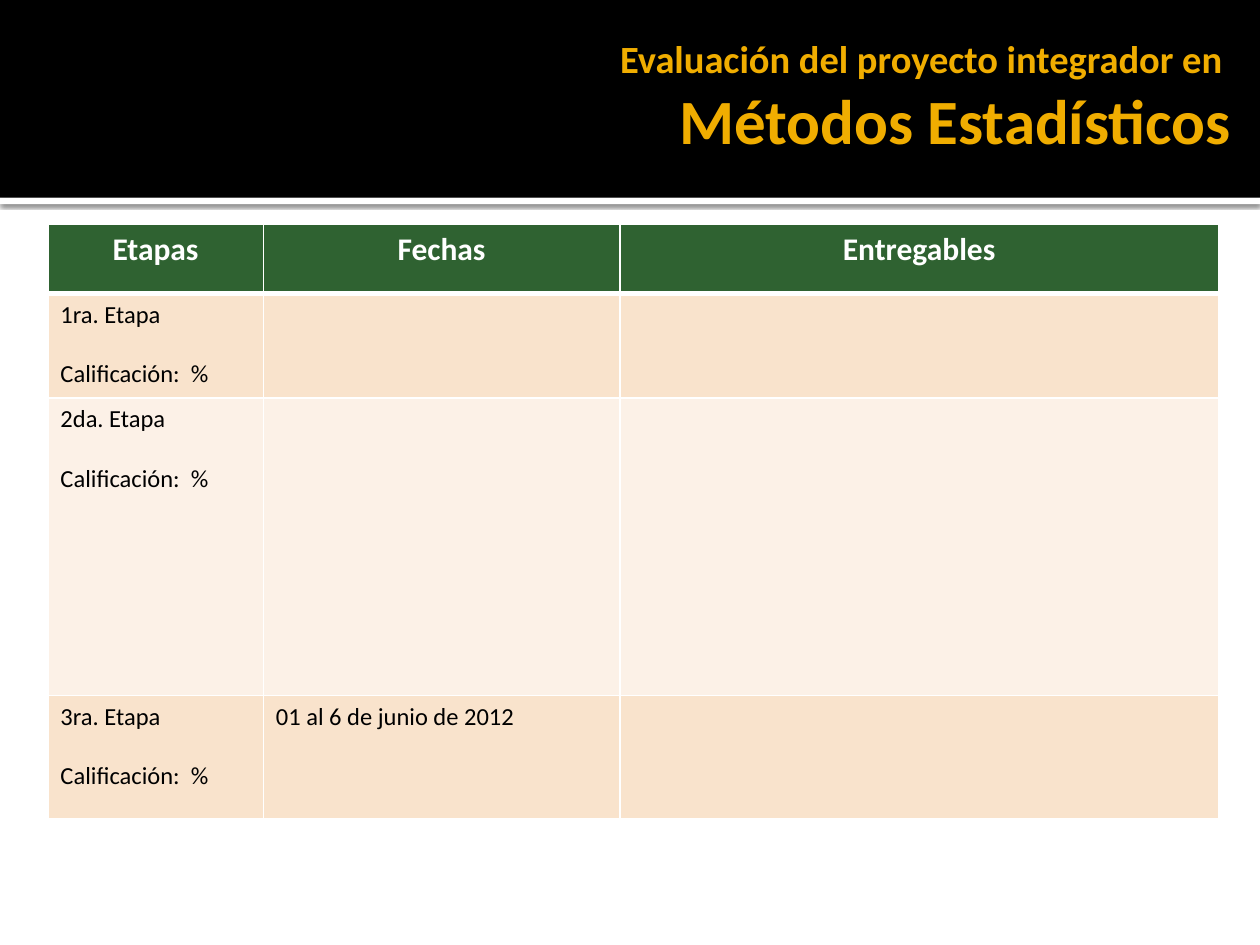
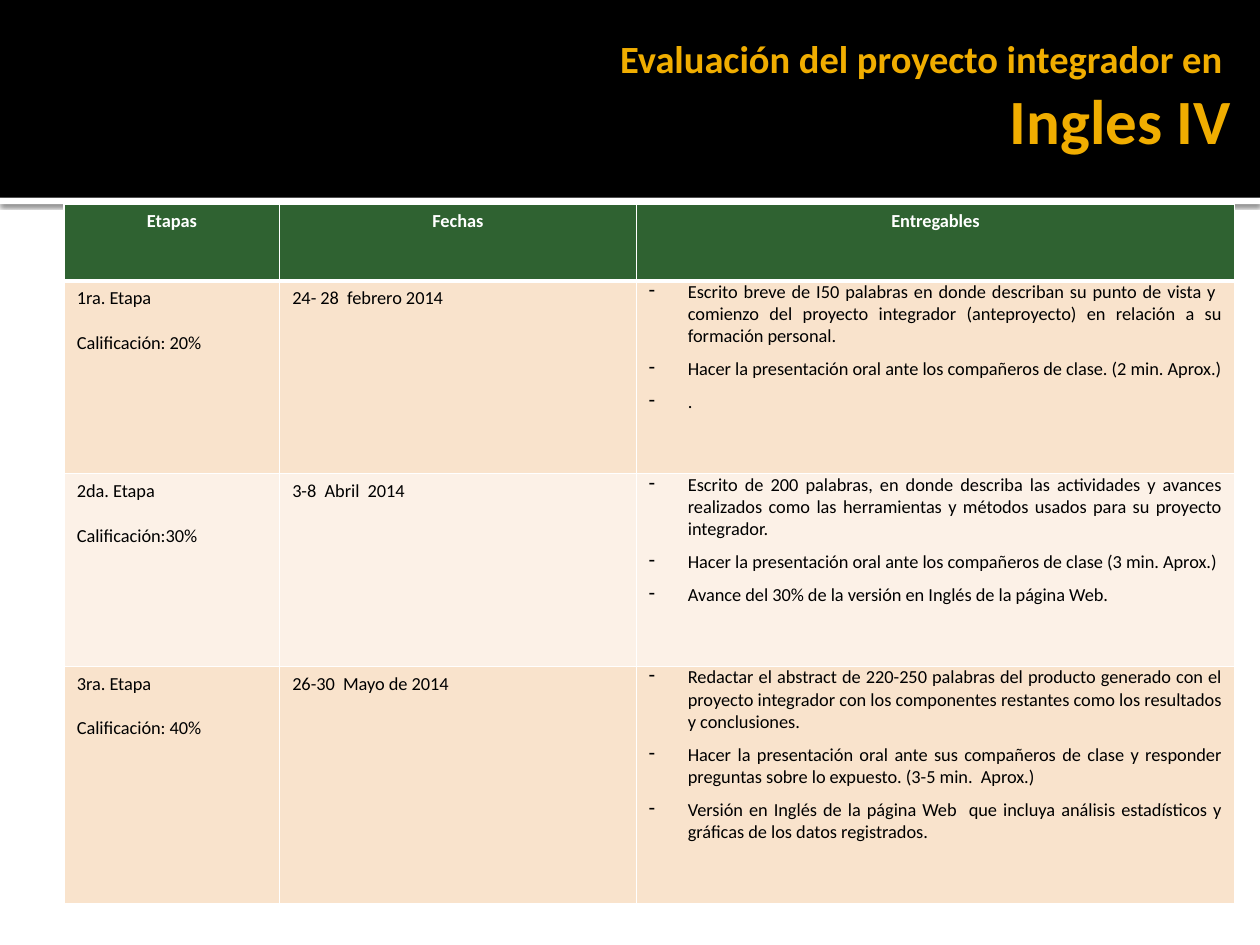
from lxml import etree
from pptx import Presentation
from pptx.dml.color import RGBColor
from pptx.enum.shapes import MSO_SHAPE
from pptx.enum.text import MSO_ANCHOR, MSO_AUTO_SIZE, PP_ALIGN
from pptx.oxml.ns import qn
from pptx.util import Emu, Inches, Pt

RECT = MSO_SHAPE.RECTANGLE
MIDDLE, NO_AUTOFIT = MSO_ANCHOR.MIDDLE, MSO_AUTO_SIZE.NONE
LEFT, CENTER, RIGHT, JUSTIFY = PP_ALIGN.LEFT, PP_ALIGN.CENTER, PP_ALIGN.RIGHT, PP_ALIGN.JUSTIFY

FONT = "Calibri"
BLACK, WHITE, GOLD, GREEN = "000000", "FFFFFF", "F0AD00", "2F6231"
ROW_FILLS = ("F9E3CC", "FCF1E7")
LINE_HEIGHT = 1.22  # of the font size

TITLE_LEAD = "Evaluación del proyecto integrador en "
HEADERS = ("Etapas", "Fechas", "Entregables")
COLUMN_WIDTHS = (1.71, 2.83, 4.75)

# Each stage: name, grade, dates, deliverables
SLIDES = [
    {
        "subject": "Métodos Estadísticos",
        "at": (0.38, 1.78),
        "rows": (0.55, 0.83, 2.36, 0.98),
        "header_size": 18,
        "size": 14,
        "stages": [
            ("1ra. Etapa", "Calificación:  %", "", []),
            ("2da. Etapa", "Calificación:  %", "", []),
            ("3ra. Etapa", "Calificación:  %", "01 al 6 de junio de 2012", []),
        ],
    },
    {
        "subject": "Ingles IV",
        "at": (0.51, 1.62),
        "rows": (0.61, 1.53, 1.53, 1.88),
        "header_size": 10.5,
        "size": 10.5,
        "stages": [
            ("1ra. Etapa", "Calificación: 20%", "24- 28  febrero 2014", [
                "Escrito breve de I50 palabras en donde describan su punto de vista y  "
                "comienzo del proyecto integrador (anteproyecto) en relación a su "
                "formación personal. ",
                "Hacer la presentación oral ante los compañeros de clase. (2 min. Aprox.)",
                ".",
            ]),
            ("2da. Etapa", "Calificación:30%", "3-8  Abril  2014", [
                "Escrito de 200 palabras, en donde describa las actividades y avances "
                "realizados como las herramientas y métodos usados para su proyecto "
                "integrador. ",
                "Hacer la presentación oral ante los compañeros de clase (3 min. Aprox.)",
                "Avance del 30% de la versión en Inglés de la página Web.",
            ]),
            ("3ra. Etapa", "Calificación: 40%", "26-30  Mayo de 2014", [
                "Redactar el abstract de 220-250 palabras del producto generado con el "
                "proyecto integrador con los componentes restantes como los resultados "
                "y conclusiones.",
                "Hacer la presentación oral ante sus compañeros de clase y responder "
                "preguntas sobre lo expuesto. (3-5 min.  Aprox.) ",
                "Versión en Inglés de la página Web  que incluya análisis estadísticos y "
                "gráficas de los datos registrados.",
            ]),
        ],
    },
]


def rgb(color):
    return RGBColor.from_string(color)


def add_run(p, text, size, color, bold=False):
    r = p.add_run()
    r.text = text
    r.font.name, r.font.size, r.font.bold = FONT, Pt(size), bold
    r.font.color.rgb = rgb(color)


def add_xml(parent, tag, **attributes):
    return etree.SubElement(parent, qn(tag), **attributes)


def add_band(s, top, height, color):
    band = s.shapes.add_shape(RECT, 0, Inches(top), Inches(10), Inches(height))
    band.shadow.inherit = False
    band.fill.solid()
    band.fill.fore_color.rgb = rgb(color)
    band.line.fill.background()
    return band


def set_up_layout(layout, s):
    """Give the layout its bands, drawn first on slide s, and its title position."""
    strip = add_band(s, 1.57, 0.05, WHITE)
    effects = strip._element.spPr.find(qn("a:effectLst"))
    shadow = add_xml(effects, "a:outerShdw", blurRad=str(Pt(2.5)), dist=str(Pt(0.8)),
                     dir="5400000", rotWithShape="0")
    add_xml(add_xml(shadow, "a:srgbClr", val=BLACK), "a:alpha", val="60000")
    header = add_band(s, 0, 1.57, BLACK)
    for i, band in enumerate((strip, header)):
        layout.shapes._spTree.insert(2 + i, band._element)
    title = layout.placeholders[0]
    title.left, title.top = Inches(0), Inches(0.08)
    title.width, title.height = Inches(9.82), Inches(1.37)


def write_title(s, subject):
    tf = s.shapes.title.text_frame
    tf.auto_size, tf.vertical_anchor, tf.word_wrap = NO_AUTOFIT, MIDDLE, True
    tf.margin_left = Inches(0.1)
    tf.margin_top = tf.margin_right = tf.margin_bottom = Inches(0.05)
    p = tf.paragraphs[0]
    p.alignment = RIGHT
    add_run(p, TITLE_LEAD, 22, GOLD, True)
    p.add_line_break()
    add_xml(p._p[-1], "a:rPr", sz="2200")
    add_run(p, subject, 36, GOLD, True)


def style_cell(cell, fill, top, bottom):
    """Set the fill and white borders; top and bottom are line widths in points."""
    tcPr = cell._tc.get_or_add_tcPr()
    for side, width in (("L", 1), ("R", 1), ("T", top), ("B", bottom)):
        line = add_xml(tcPr, f"a:ln{side}", w=str(Pt(width)))
        add_xml(add_xml(line, "a:solidFill"), "a:srgbClr", val=WHITE)
    cell.fill.solid()
    cell.fill.fore_color.rgb = rgb(fill)


def write_lines(cell, lines, size, color=BLACK, bold=False, align=LEFT,
                before=0, after=0, hanging=0, bullet=None):
    tf = cell.text_frame
    for i, text in enumerate(lines):
        p = tf.add_paragraph() if i else tf.paragraphs[0]
        p.alignment = align
        p.space_before, p.space_after = Pt(before if i or bullet else 0), Pt(after)
        pPr = p._p.get_or_add_pPr()
        if hanging:
            pPr.set("marL", str(Inches(hanging)))
            pPr.set("indent", str(-Inches(hanging)))
        if bullet:
            add_xml(pPr, "a:buChar", char=bullet)
        add_run(p, text, size, color, bold)


def add_stage_table(s, data):
    left, top = data["at"]
    heights, size = data["rows"], data["size"]
    table = s.shapes.add_table(
        len(heights), len(COLUMN_WIDTHS), Inches(left), Inches(top),
        Inches(sum(COLUMN_WIDTHS)), Inches(sum(heights))).table
    for column, width in zip(table.columns, COLUMN_WIDTHS):
        column.width = Inches(width)
    for row, height in zip(table.rows, heights):
        row.height = Inches(height)

    for c, header in enumerate(HEADERS):
        cell = table.cell(0, c)
        style_cell(cell, GREEN, 1, 3)
        write_lines(cell, [header], data["header_size"], WHITE, True, CENTER)

    for n, (name, grade, dates, deliverables) in enumerate(data["stages"]):
        cells = table.rows[n + 1].cells
        for cell in cells:
            style_cell(cell, ROW_FILLS[n % 2], 1 if n else 3, 1)
        stage_cell, date_cell, deliverable_cell = cells
        write_lines(stage_cell, [name, grade], size, before=size * LINE_HEIGHT)
        if dates:
            write_lines(date_cell, [dates], size, hanging=0.2)
        if deliverables:
            deliverable_cell.margin_top = deliverable_cell.margin_bottom = Emu(0)
            write_lines(deliverable_cell, deliverables, size, align=JUSTIFY,
                        before=3, after=3, hanging=0.31, bullet="-")


def main():
    prs = Presentation()
    prs.slide_width, prs.slide_height = Inches(10), Inches(7.5)
    layout = prs.slide_layouts.get_by_name("Title Only")
    for i, data in enumerate(SLIDES):
        s = prs.slides.add_slide(layout)
        if i == 0:
            set_up_layout(layout, s)
        write_title(s, data["subject"])
        add_stage_table(s, data)
    prs.save("out.pptx")


if __name__ == "__main__":
    main()
